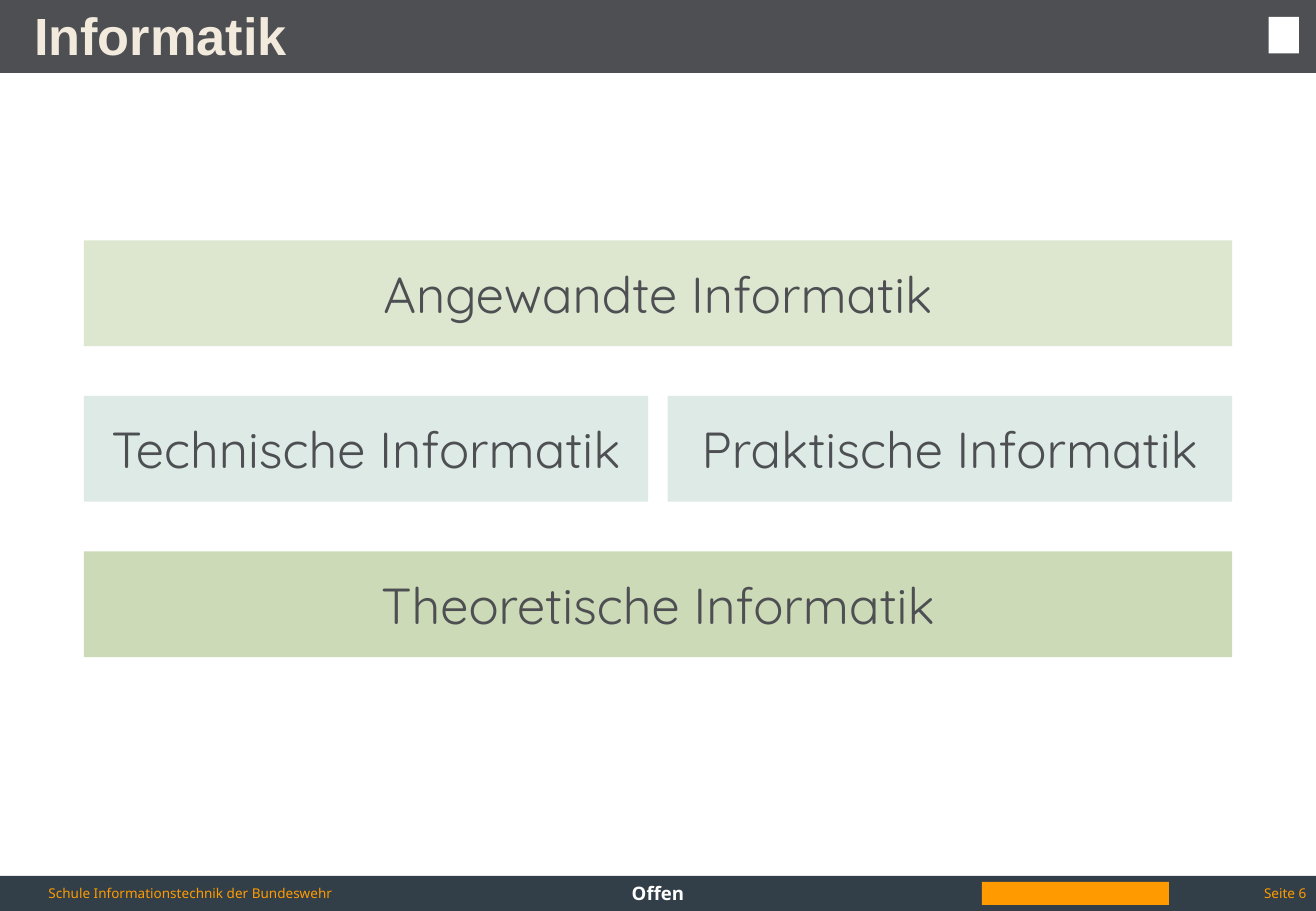
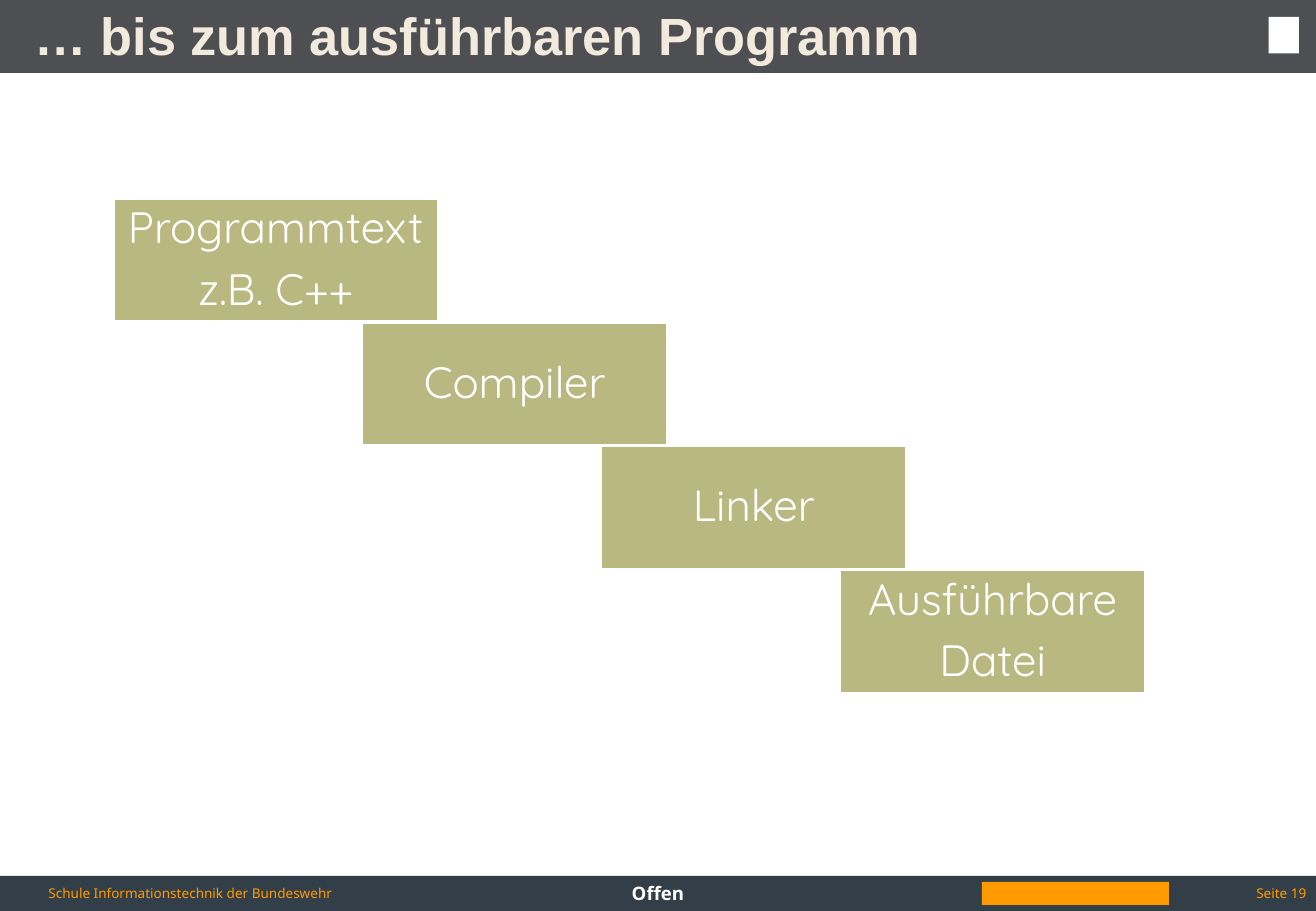
from pptx import Presentation
from pptx.dml.color import RGBColor
from pptx.enum.shapes import MSO_SHAPE
from pptx.enum.text import MSO_ANCHOR, PP_ALIGN
from pptx.util import Inches, Pt

WIDE, HIGH = 10.83, 7.5
GREY = RGBColor(0x4E, 0x4F, 0x53)
NAVY = RGBColor(0x33, 0x3F, 0x48)
AMBER = RGBColor(0xFF, 0x9B, 0x00)
CREAM = RGBColor(0xF2, 0xEA, 0xDC)
WHITE = RGBColor(0xFF, 0xFF, 0xFF)
PALE = RGBColor(0xDD, 0xE7, 0xCF)
MINT = RGBColor(0xDD, 0xEA, 0xE5)
SAGE = RGBColor(0xCC, 0xDA, 0xB7)
OLIVE = RGBColor(0xB9, 0xB8, 0x81)

HEAD = (0, 0, WIDE, 0.6)
FOOT = (0, 7.21, WIDE, 0.29)
AREA = (0.69, 1.98, 9.45, 3.43)
STAIR = (0.93, 1.63, 8.5, 4.08)

TITLE = {"name": "Arial", "size": Pt(31), "bold": True, "color": CREAM}
NOTE = {"name": "Noto Sans", "size": Pt(8), "color": AMBER}
CLASS = {**NOTE, "size": Pt(11), "bold": True, "color": WHITE}
FIELD = {"name": "Quicksand", "size": Pt(30), "color": GREY}
STEP = {**FIELD, "size": Pt(26), "color": WHITE}

LEFT, MID, RIGHT = PP_ALIGN.LEFT, PP_ALIGN.CENTER, PP_ALIGN.RIGHT
TIGHT = {"line_spacing": 0.9, "space_after": Pt(8.5)}


def write(shape, text, style, align=LEFT, anchor=MSO_ANCHOR.MIDDLE,
          inset=0.1, para=None):
    frame = shape.text_frame
    edge = min(inset, 0.05)
    form = {"word_wrap": True, "vertical_anchor": anchor,
            "margin_left": Inches(inset), "margin_right": Inches(min(inset, 0.1)),
            "margin_top": Inches(edge), "margin_bottom": Inches(edge)}
    for key, value in form.items():
        setattr(frame, key, value)
    frame.text = text
    for line in frame.paragraphs:
        for key, value in {"alignment": align, **(para or {})}.items():
            setattr(line, key, value)
        font = line.runs[0].font
        for key, value in style.items():
            if key == "color":
                font.color.rgb = value
            else:
                setattr(font, key, value)


def label(slide, box, *args, **form):
    write(slide.shapes.add_textbox(*map(Inches, box)), *args, **form)


def block(slide, box, fill, edge=None):
    shape = slide.shapes.add_shape(MSO_SHAPE.RECTANGLE, *map(Inches, box))
    shape.shadow.inherit = False
    shape.fill.solid()
    shape.fill.fore_color.rgb = fill
    if edge is None:
        shape.line.fill.background()
    else:
        shape.line.color.rgb = edge
        shape.line.width = Pt(2)
    return shape


def header(slide, box, title):
    left, top, width, _ = box
    block(slide, box, GREY)
    label(slide, (left, top + 0.05, width - 0.42, 0.47), title, TITLE, inset=0.28)
    block(slide, (left + width - 0.39, top + 0.14, 0.25, 0.3), WHITE)


def footer(slide, box, page):
    left, top, width, height = box
    block(slide, box, NAVY)
    label(slide, (left + 0.3, top, 4.09, height),
          "Schule Informationstechnik der Bundeswehr", NOTE)
    label(slide, (left + 3.7, top, 3.43, height), "Offen", CLASS, MID, MSO_ANCHOR.TOP)
    block(slide, (left + 8.08, top + 0.05, 1.54, 0.19), AMBER)
    label(slide, (left + width - 2.51, top, 2.53, height), f"Seite {page}", NOTE, RIGHT)


def fields(slide, box, rows, tall=0.87, gap=0.16):
    left, top, width, height = box
    pitch = (height - tall) / (len(rows) - 1)
    for row, (fill, names) in enumerate(rows):
        wide = (width - gap * (len(names) - 1)) / len(names)
        for col, name in enumerate(names):
            place = (left + col * (wide + gap), top + row * pitch, wide, tall)
            write(block(slide, place, fill), name, FIELD, MID)


def stairs(slide, box, steps):
    left, top, width, height = box
    tall = height / len(steps)
    first, last = steps[0][1], steps[-1][1]
    pitch = (width - (first + last) / 2) / (len(steps) - 1)
    for i, (text, wide) in enumerate(steps):
        mid = left + first / 2 + i * pitch
        place = (mid - wide / 2, top + i * tall, wide, tall)
        write(block(slide, place, OLIVE, WHITE), text, STEP, MID,
              inset=0, para=TIGHT)


def page(deck, title, number):
    slide = deck.slides.add_slide(deck.slide_layouts[6])
    header(slide, HEAD, title)
    footer(slide, FOOT, number)
    return slide


def main():
    deck = Presentation()
    deck.slide_width, deck.slide_height = Inches(WIDE), Inches(HIGH)
    fields(page(deck, "Informatik", 6), AREA, [
        (PALE, ["Angewandte Informatik"]),
        (MINT, ["Technische Informatik", "Praktische Informatik"]),
        (SAGE, ["Theoretische Informatik"]),
    ])
    stairs(page(deck, "… bis zum ausführbaren Programm", 19), STAIR, [
        ("Programmtext\nz.B. C++", 2.68),
        ("Compiler", 2.52),
        ("Linker", 2.52),
        ("Ausführbare\nDatei", 2.52),
    ])
    deck.save("out.pptx")


if __name__ == "__main__":
    main()
